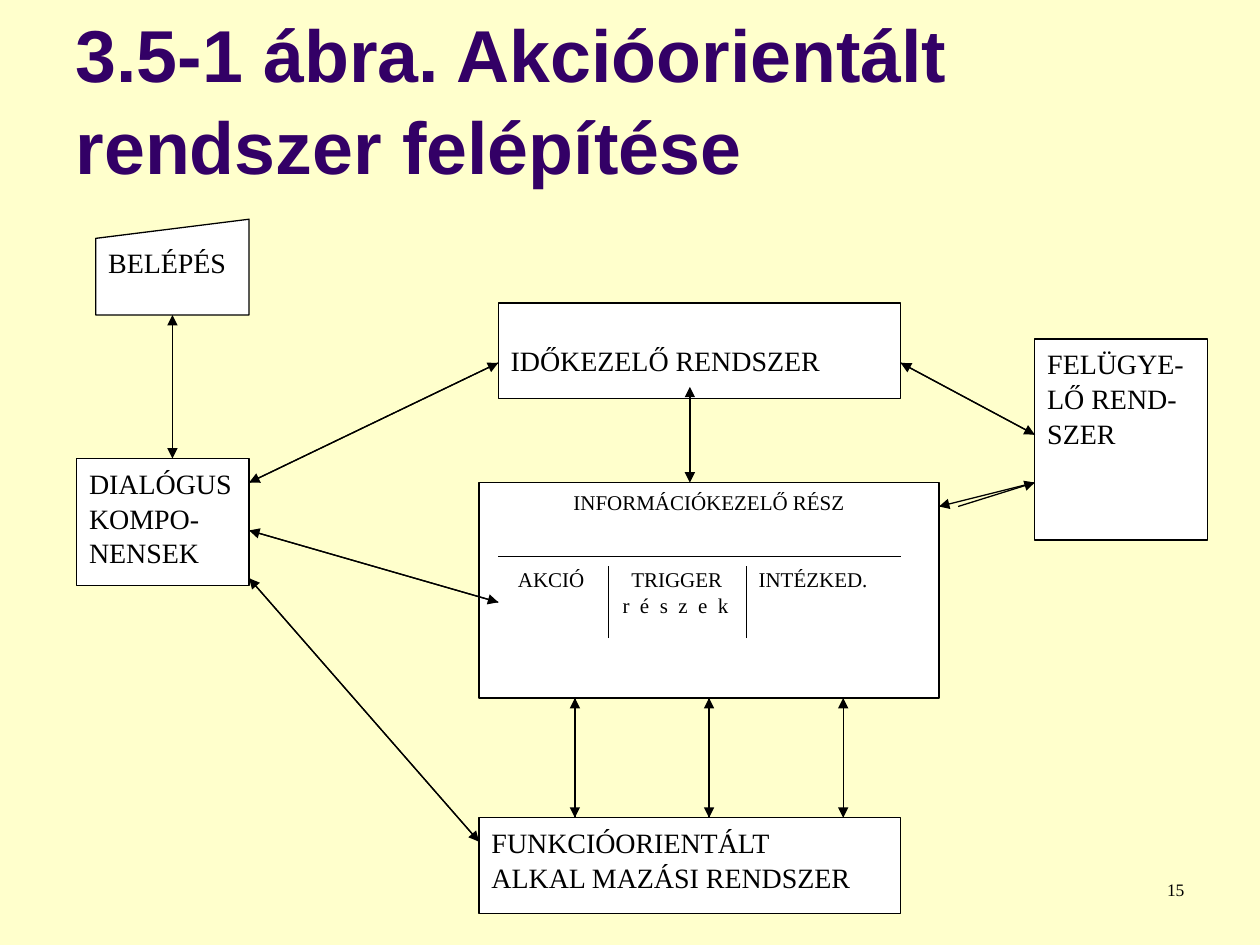
import pptx
import pptx.util
import pptx.dml.color
import pptx.enum.shapes
import pptx.enum.text
import pptx.oxml.ns
import lxml.etree

Inches, Pt = pptx.util.Inches, pptx.util.Pt
SHAPE = pptx.enum.shapes.MSO_SHAPE
ALIGN = pptx.enum.text.PP_ALIGN
ANCHOR = pptx.enum.text.MSO_ANCHOR
BOTTOM = 2  # connection site


def rgb(value):
    return pptx.dml.color.RGBColor.from_string(value)


def add_xml(parent, tag, **attributes):
    return lxml.etree.SubElement(parent, pptx.oxml.ns.qn(tag), **attributes)


class Diagram:
    """Places elements on a grid of 65.75 columns and 0.19 inch rows."""

    COLUMN, ROW, ROW_START = 10 / 65.75, 0.19, 0.03
    INK, PAPER, PAGE, ACCENT = "000000", "FFFFFF", "FFFFCC", "330066"
    BODY, HEADING = "Times New Roman", "Arial"
    LINE_WIDTH, LINE_SPACING = 0.75, 1.04

    def __init__(self, slide):
        self.slide = slide
        slide.background.fill.solid()
        slide.background.fill.fore_color.rgb = rgb(self.PAGE)

    def point(self, column, row):
        return Inches(column * self.COLUMN), Inches(self.ROW_START + row * self.ROW)

    def area(self, column, row, columns, rows):
        return (*self.point(column, row),
                Inches(columns * self.COLUMN), Inches(rows * self.ROW))

    def frame(self, shape, anchor=ANCHOR.TOP, top_inset=0.05):
        text = shape.text_frame
        text.word_wrap = True
        text.vertical_anchor = anchor
        text.margin_left = text.margin_right = Inches(0.1)
        text.margin_top, text.margin_bottom = Inches(top_inset), Inches(0.05)
        return text

    def paragraph(self, text, words, size=16, align=ALIGN.LEFT, font=BODY, color=INK,
                  bold=False, before=0, tabs=(), tracking=0):
        """Fill the empty first paragraph, or append one; tabs are in inches."""
        first = text.paragraphs[0]
        paragraph = text.add_paragraph() if first.runs else first
        paragraph.alignment = align
        paragraph.line_spacing = self.LINE_SPACING
        if before:
            paragraph.space_before = Pt(before)
        if tabs:
            stops = add_xml(paragraph._p.get_or_add_pPr(), "a:tabLst")
            for stop in tabs:
                add_xml(stops, "a:tab", pos=str(Inches(stop)), algn="l")
        run = paragraph.add_run()
        run.text = words
        run.font.name, run.font.size, run.font.bold = font, Pt(size), bold
        run.font.color.rgb = rgb(color)
        if tracking:
            run._r.get_or_add_rPr().set("spc", str(int(tracking * 100)))

    def label(self, place, words, anchor=ANCHOR.TOP, **style):
        box = self.slide.shapes.add_textbox(*self.area(*place))
        self.paragraph(self.frame(box, anchor), words, **style)

    def box(self, place, *lines, kind=SHAPE.FLOWCHART_PROCESS, top_inset=0.05):
        shape = self.slide.shapes.add_shape(kind, *self.area(*place))
        shape.shadow.inherit = False
        shape.fill.solid()
        shape.fill.fore_color.rgb = rgb(self.PAPER)
        shape.line.color.rgb = rgb(self.INK)
        shape.line.width = Pt(self.LINE_WIDTH)
        text = self.frame(shape, top_inset=top_inset)
        for words in lines:
            self.paragraph(text, words)
        return shape

    def line(self, start, end):
        line = self.slide.shapes.add_connector(
            pptx.enum.shapes.MSO_CONNECTOR.STRAIGHT, *self.point(*start), *self.point(*end))
        line.line.color.rgb = rgb(self.INK)
        line.line.width = Pt(self.LINE_WIDTH)
        add_xml(line._element.spPr, "a:effectLst")
        return line

    def arrow(self, start, end):
        arrow = self.line(start, end)
        add_xml(arrow.line._get_or_add_ln(), "a:tailEnd", type="triangle")
        return arrow

    def exchange(self, one, other):
        """Two opposite arrows on the same path."""
        return self.arrow(one, other), self.arrow(other, one)


def main():
    deck = pptx.Presentation()
    deck.slide_width, deck.slide_height = Inches(10), Inches(7.5)
    diagram = Diagram(deck.slides.add_slide(deck.slide_layouts[6]))

    diagram.label((3.3, 0.5, 54.25, 7.5), "3.5-1 ábra. Akcióorientált rendszer felépítése",
                  anchor=ANCHOR.BOTTOM, size=42, font=diagram.HEADING,
                  color=diagram.ACCENT, bold=True)

    entry = diagram.box((5, 9, 8, 4), "BELÉPÉS", kind=SHAPE.FLOWCHART_MANUAL_INPUT)
    diagram.box((4, 19, 9, 5.3), "DIALÓGUS KOMPO-NENSEK")
    diagram.box((26, 12.5, 21, 4), "IDŐKEZELŐ RENDSZER", top_inset=0.31)
    information = diagram.box((25, 20, 24, 9))
    diagram.box((25, 34, 22, 4), "FUNKCIÓORIENTÁLT", "ALKAL MAZÁSI RENDSZER")
    diagram.box((54, 14, 9, 8.4), "FELÜGYE-LŐ REND- SZER")

    parts = information.text_frame
    diagram.paragraph(parts, "INFORMÁCIÓKEZELŐ RÉSZ", size=12, align=ALIGN.CENTER)
    diagram.paragraph(parts, "\tAKCIÓ\tTRIGGER\tINTÉZKED.", size=12, before=29,
                      tabs=(0.21, 1.11, 2.12))
    diagram.paragraph(parts, "\tr é s z e k", size=12, tabs=(1.04,), tracking=1.5)
    diagram.line((26, 23.1), (47, 23.1))
    for divider in (31.75, 38.95):
        diagram.line((divider, 26.5), (divider, 23.5))

    diagram.arrow((9, 14), (9, 19))
    diagram.arrow((9, 18), (9, 13)).end_connect(entry, BOTTOM)
    diagram.arrow((36, 17), (36, 20))
    diagram.arrow((36, 19), (36, 16))
    diagram.arrow((50, 21), (54, 20))
    diagram.arrow((54, 20), (49, 21))
    for one, other in (((13, 20), (26, 15)), ((13, 22), (26, 25)),
                       ((13, 24), (25, 35)), ((47, 15), (54, 18)),
                       ((30, 29), (30, 34)), ((44, 29), (44, 34))):
        diagram.exchange(one, other)
    down, up = diagram.exchange((37, 29), (37, 34))
    down.begin_connect(information, BOTTOM)
    up.end_connect(information, BOTTOM)

    diagram.label((47.15, 36.25, 15.3, 2.6), "15", size=10, align=ALIGN.RIGHT)
    deck.save("out.pptx")


if __name__ == "__main__":
    main()
